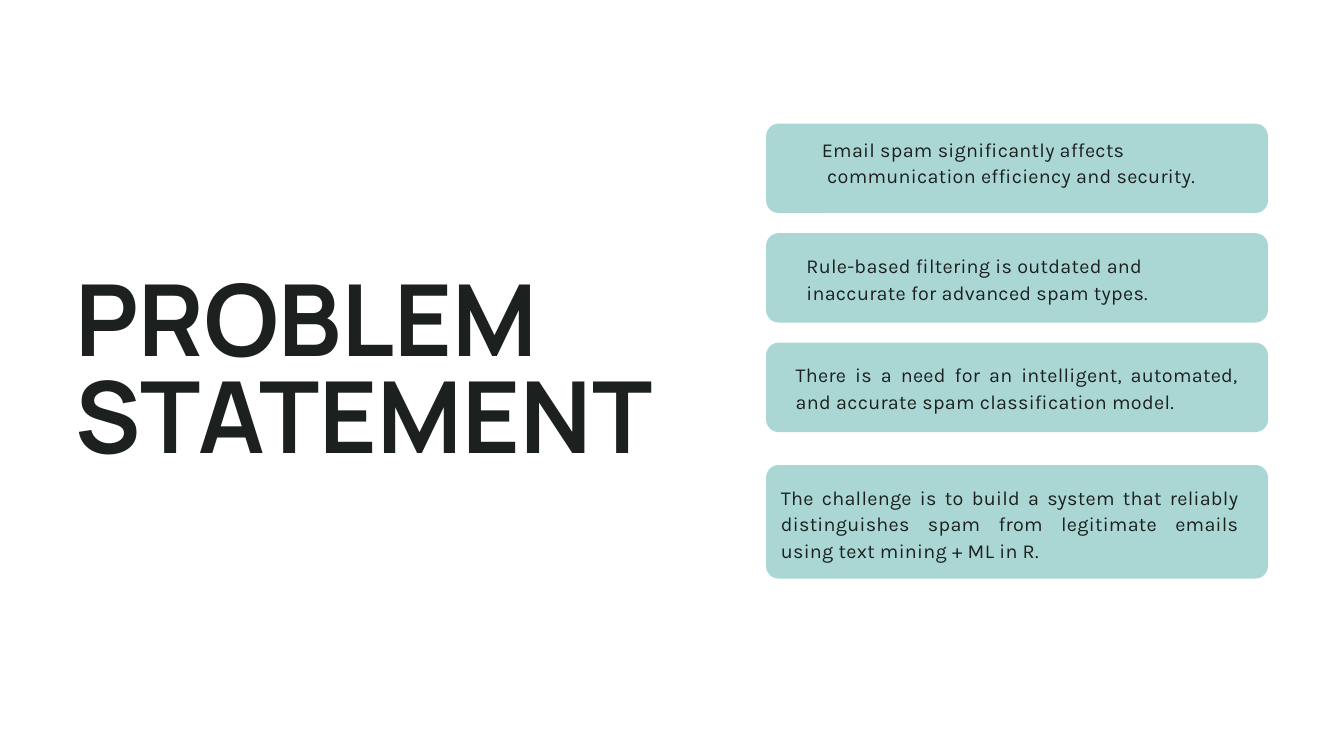
from pptx import Presentation
from pptx.dml.color import RGBColor
from pptx.enum.shapes import MSO_SHAPE as Shape
from pptx.enum.text import MSO_ANCHOR as Anchor, MSO_AUTO_SIZE as AutoSize, PP_ALIGN as Align
from pptx.util import Inches, Pt

COLORS = {"ink": "1C2120", "card": "AAD7D4"}
WIDTH, HEIGHT = Inches(20), Inches(11.25)
UNIT = WIDTH / 100  # square grid, 100 columns across the slide

CARD_LEFT, CARD_WIDTH, CARD_RADIUS = 57, 37.35, 0.94
CARD_TOP, CARD_PITCH, CARD_HEIGHT = 9.2, 8.15, 6.65
LAST_TOP, LAST_HEIGHT = 34.6, 8.45
LINE_HEIGHT = 1.95

# Left, width, offset below the card's top, lines of room, paragraphs with indent
STATEMENTS = [
    (61.15, 32, 0.8, 3, [("Email spam significantly affects", 0),
                         ("communication efficiency and security.", 0.4)]),
    (60, 31.45, 1.3, 2, [("Rule-based filtering is outdated and", 0),
                         ("inaccurate for advanced spam types.", 0)]),
    (59.2, 32.95, 1.3, 2, [("There is a need for an intelligent, automated, "
                            "and accurate spam classification model.", 0)]),
    (58.1, 34.1, 1.3, 3, [("The challenge is to build a system that reliably "
                           "distinguishes spam from legitimate emails "
                           "using text mining + ML in R.", 0)]),
]


def grid(*units):
    return [round(unit * UNIT) for unit in units]


def rgb(name):
    return RGBColor.from_string(COLORS[name])


def prepare_frame(frame):
    """Wrap from the top left corner, without insets."""
    frame.word_wrap = True
    frame.auto_size = AutoSize.NONE
    frame.vertical_anchor = Anchor.TOP
    frame.margin_left = frame.margin_top = frame.margin_right = frame.margin_bottom = 0


def style_paragraph(paragraph, face, size, leading, align, bold=False):
    paragraph.alignment = align
    paragraph.line_spacing = Pt(leading)
    font = paragraph.font
    font.name, font.size, font.bold = face, Pt(size), bold
    font.color.rgb = rgb("ink")


def set_title(slide, text):
    title = slide.shapes.title
    title.left, title.top, title.width, title.height = grid(5.6, 20.85, 48.7, 15.25)
    prepare_frame(title.text_frame)
    title.text_frame.text = text
    style_paragraph(title.text_frame.paragraphs[0], "Manrope", 106.4, 103.2, Align.LEFT, True)


def add_card(slide, top, height):
    card = slide.shapes.add_shape(
        Shape.ROUNDED_RECTANGLE, *grid(CARD_LEFT, top, CARD_WIDTH, height))
    card.adjustments[0] = CARD_RADIUS / height
    card.shadow.inherit = False
    card.fill.solid()
    card.fill.fore_color.rgb = rgb("card")
    card.line.fill.background()


def add_statement(slide, left, top, width, height, paragraphs):
    frame = slide.shapes.add_textbox(*grid(left, top, width, height)).text_frame
    prepare_frame(frame)
    for index, (text, indent) in enumerate(paragraphs):
        paragraph = frame.add_paragraph() if index else frame.paragraphs[0]
        run = paragraph.add_run()
        run.text = text
        run._r.get_or_add_rPr().set("spc", "30")
        if indent:
            paragraph._p.get_or_add_pPr().set("marL", str(grid(indent)[0]))
        style_paragraph(paragraph, "Karla", 21.2, 28.6, Align.JUSTIFY)


def main():
    deck = Presentation()
    deck.slide_width, deck.slide_height = WIDTH, HEIGHT
    slide = deck.slides.add_slide(deck.slide_layouts[5])
    set_title(slide, "PROBLEM STATEMENT")

    cards = [(CARD_TOP + row * CARD_PITCH, CARD_HEIGHT) for row in range(3)]
    cards.append((LAST_TOP, LAST_HEIGHT))
    for (card_top, card_height), statement in zip(cards, STATEMENTS):
        left, width, offset, lines, paragraphs = statement
        add_card(slide, card_top, card_height)
        add_statement(slide, left, card_top + offset, width, lines * LINE_HEIGHT, paragraphs)

    deck.save("out.pptx")


if __name__ == "__main__":
    main()
